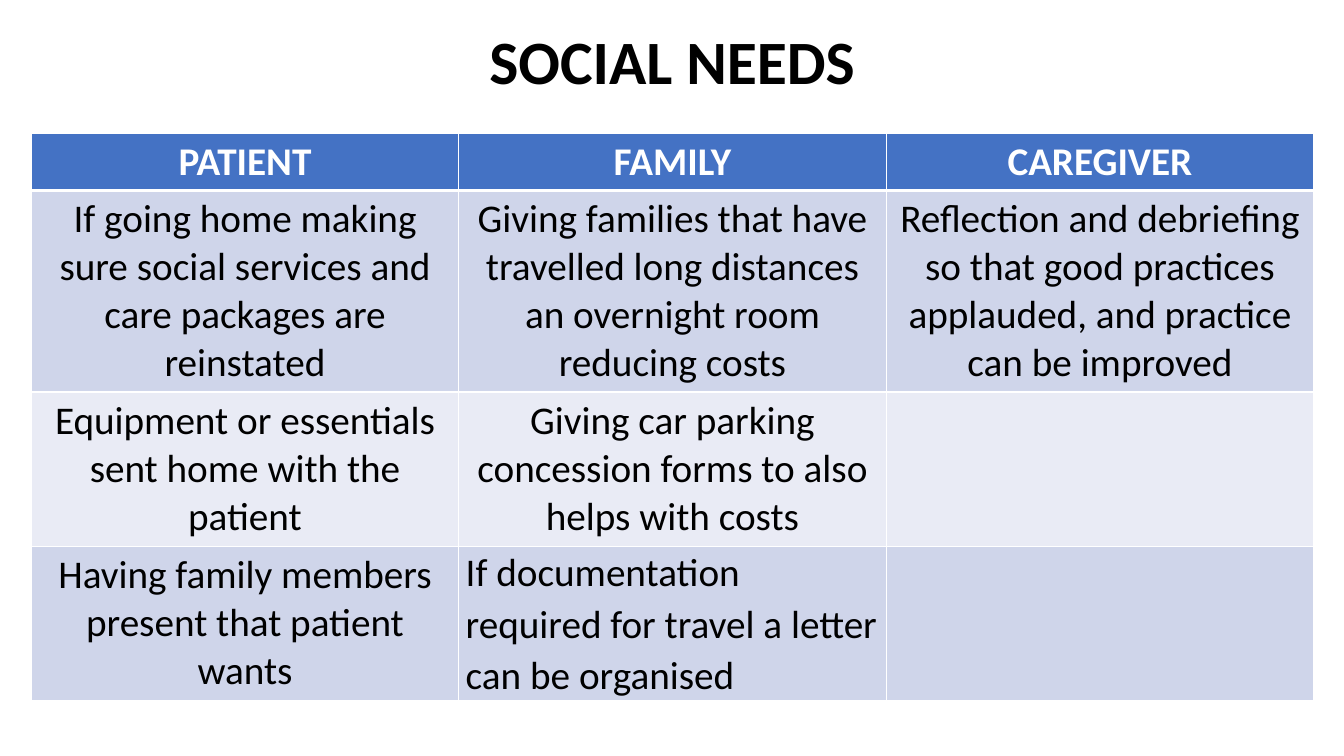
"""Build the social needs slide: a title above a three-column table."""
from lxml import etree
from pptx import Presentation
from pptx.dml.color import RGBColor
from pptx.enum.text import MSO_ANCHOR, PP_ALIGN
from pptx.oxml.ns import qn
from pptx.util import Inches, Pt

CENTER, LEFT = PP_ALIGN.CENTER, PP_ALIGN.LEFT
MIDDLE = MSO_ANCHOR.MIDDLE
ROWS = [
    ("PATIENT", "FAMILY", "CAREGIVER"),
    ("If going home making sure social services and care packages are reinstated",
     "Giving families that have travelled long distances an overnight room reducing costs",
     "Reflection and debriefing so that good practices applauded, and practice can be improved"),
    ("Equipment or essentials sent home with the patient",
     "Giving car parking concession forms to also helps with costs", ""),
    ("Having family members present that patient wants",
     "If documentation required for travel a letter can be organised", ""),
]
HEIGHTS = [0.57, 2, 1.53, 1.53]
FILLS = ["4472C4", "CFD5EA", "E9EBF5", "CFD5EA"]


def style(para, text, size, color, bold):
    para.text = text
    para.alignment = CENTER
    font = para.font
    font.name, font.size, font.bold = "Calibri", Pt(size), bold
    font.color.rgb = RGBColor.from_string(color)


def border(cell, side, width):
    line = etree.Element(qn("a:" + side), w=str(Pt(width)))
    fill = etree.SubElement(line, qn("a:solidFill"))
    etree.SubElement(fill, qn("a:srgbClr"), val="FFFFFF")
    return line


deck = Presentation()
deck.slide_width, deck.slide_height = Inches(13.33), Inches(7.5)
slide = deck.slides.add_slide(deck.slide_layouts[6])

title = slide.shapes.add_textbox(Inches(0.92), Inches(0.24), Inches(11.5), Inches(0.79))
frame = title.text_frame
frame.word_wrap = True
frame.vertical_anchor = MIDDLE
style(frame.paragraphs[0], "SOCIAL NEEDS", 44, "000000", True)
frame.paragraphs[0].line_spacing = 0.9

table = slide.shapes.add_table(len(ROWS), 3, Inches(0.31), Inches(1.32),
                               Inches(12.72), Inches(sum(HEIGHTS))).table
for r, texts in enumerate(ROWS):
    head = r == 0
    table.rows[r].height = Inches(HEIGHTS[r])
    for c, text in enumerate(texts):
        cell = table.cell(r, c)
        style(cell.text_frame.paragraphs[0], text, 28,
              "FFFFFF" if head else "000000", head)
        props = cell._tc.get_or_add_tcPr()
        for side in ("lnL", "lnR", "lnT", "lnB"):
            thick = (head and side == "lnB") or (r == 1 and side == "lnT")
            props.append(border(cell, side, 3 if thick else 1))
        cell.fill.solid()
        cell.fill.fore_color.rgb = RGBColor.from_string(FILLS[r])

letter = table.cell(3, 1)
letter.margin_left = letter.margin_right = Inches(0.07)
letter.margin_top = letter.margin_bottom = Inches(0)
para = letter.text_frame.paragraphs[0]
para.alignment = LEFT
para.line_spacing = 1.07

deck.save("out.pptx")
